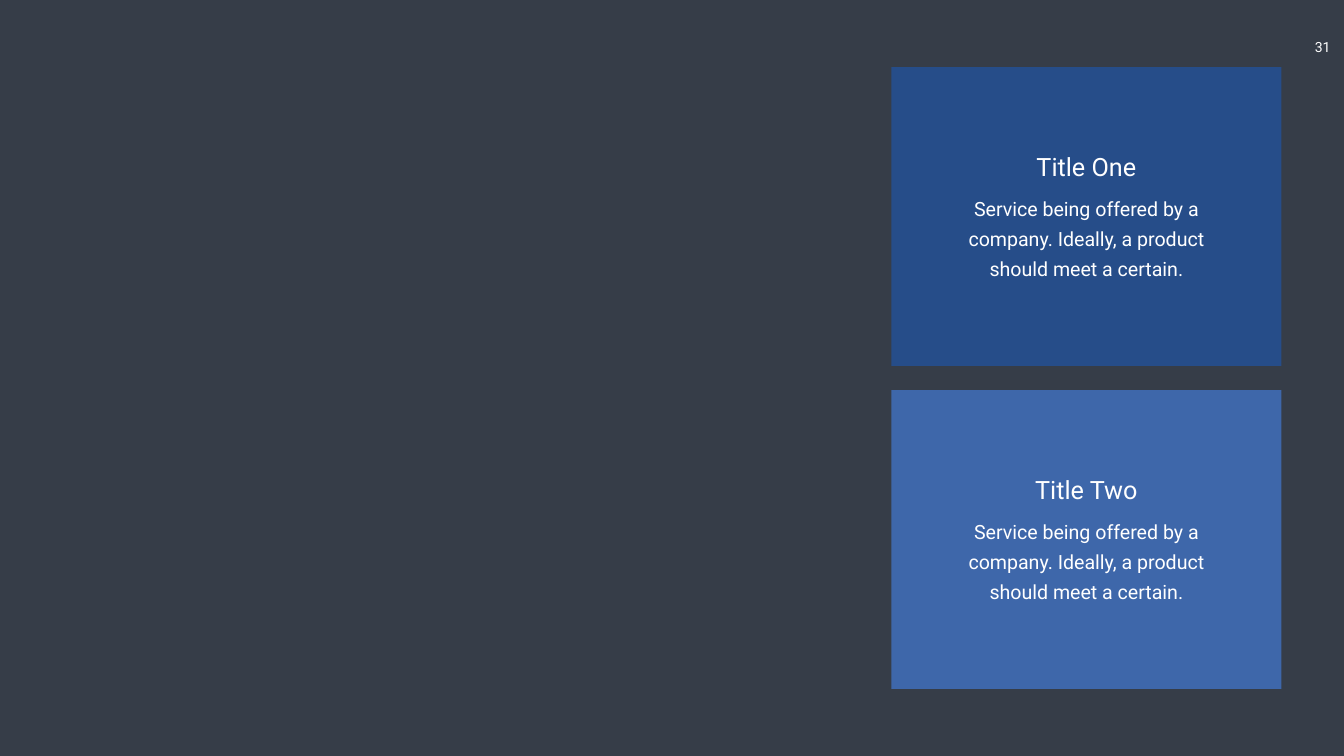
from dataclasses import dataclass

from pptx import Presentation
from pptx.dml.color import RGBColor
from pptx.enum.shapes import MSO_SHAPE
from pptx.enum.text import PP_ALIGN
from pptx.util import Cm, Pt


@dataclass(frozen=True)
class Theme:
    background: str = "363D48"
    text: str = "FFFFFF"
    cards: tuple = ("264D89", "3E67AA")
    font: str = "Roboto"
    title_size: int = 36
    body_size: int = 28
    body_leading: int = 43
    number_size: int = 20


CARD_LEFT, CARD_TOP = 44.91, 3.38
CARD_WIDTH, CARD_HEIGHT = 19.66, 15.06
CARD_PITCH = 16.28
TITLE_WIDTH, BODY_WIDTH = 13.74, 15.75

BODY = "Service being offered by a company. Ideally, a product should meet a certain."
CARDS = (("Title One", BODY), ("Title Two", BODY))


class SlideBuilder:
    """Holds the theme and the slide; all lengths are in centimetres."""

    def __init__(self, slide, theme):
        self.slide = slide
        self.theme = theme

    def background(self):
        fill = self.slide.background.fill
        fill.solid()
        fill.fore_color.rgb = RGBColor.from_string(self.theme.background)

    def panel(self, left, top, width, height, color):
        sp = self.slide.shapes.add_shape(
            MSO_SHAPE.RECTANGLE, Cm(left), Cm(top), Cm(width), Cm(height))
        sp.shadow.inherit = False
        sp.fill.solid()
        sp.fill.fore_color.rgb = RGBColor.from_string(color)
        sp.line.fill.background()

    def text(self, text, left, top, width, height, size,
             inset=(0.25, 0.13), leading=None, wrap=True):
        """Add centred text; inset is (horizontal, vertical), leading in points."""
        box = self.slide.shapes.add_textbox(
            Cm(left), Cm(top), Cm(width), Cm(height))
        tf = box.text_frame
        tf.word_wrap = wrap
        tf.margin_left = tf.margin_right = Cm(inset[0])
        tf.margin_top = tf.margin_bottom = Cm(inset[1])
        tf.text = text
        p = tf.paragraphs[0]
        p.alignment = PP_ALIGN.CENTER
        if leading:
            p.line_spacing = Pt(leading)
        font = p.runs[0].font
        font.name = self.theme.font
        font.size = Pt(size)
        font.color.rgb = RGBColor.from_string(self.theme.text)

    def card(self, top, title, body, color):
        center = CARD_LEFT + CARD_WIDTH / 2
        self.panel(CARD_LEFT, top, CARD_WIDTH, CARD_HEIGHT, color)
        self.text(title, center - TITLE_WIDTH / 2, top + 4.1,
                  TITLE_WIDTH, 1.8, self.theme.title_size)
        self.text(body, center - BODY_WIDTH / 2, top + 5.9,
                  BODY_WIDTH, 5.08, self.theme.body_size,
                  inset=(0.61, 0.3), leading=self.theme.body_leading)

    def page_number(self, number):
        self.text(str(number), 65.7, 1.7, 1.9, 1.37, self.theme.number_size,
                  inset=(0.5, 0.25), wrap=False)


def main():
    prs = Presentation()
    prs.slide_width, prs.slide_height = Cm(67.72), Cm(38.1)
    theme = Theme()
    s = SlideBuilder(prs.slides.add_slide(prs.slide_layouts[6]), theme)
    s.background()
    s.page_number(31)
    for i, ((title, body), color) in enumerate(zip(CARDS, theme.cards)):
        s.card(CARD_TOP + i * CARD_PITCH, title, body, color)
    prs.save("out.pptx")


if __name__ == "__main__":
    main()
